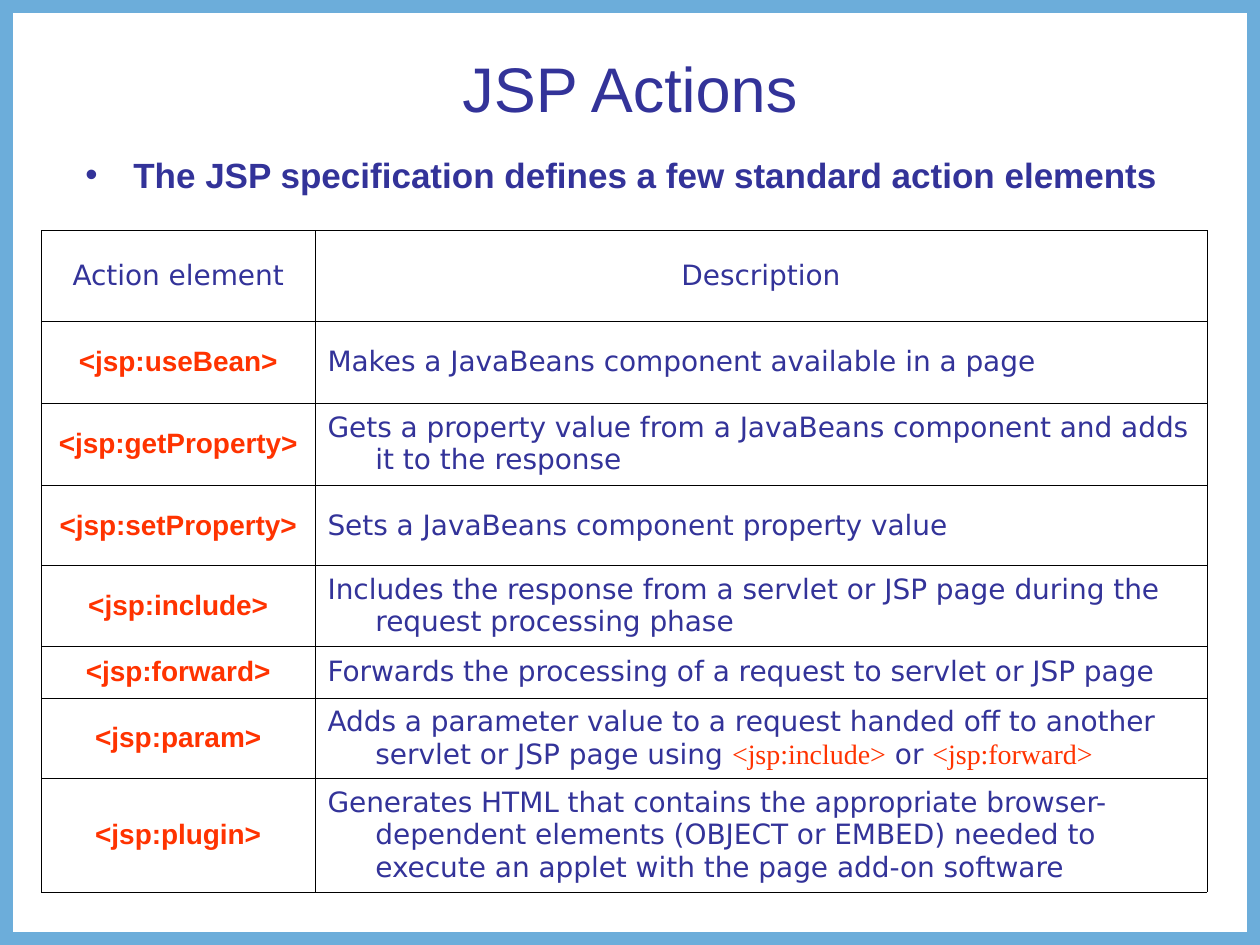
from dataclasses import dataclass

from lxml.etree import SubElement
from pptx import Presentation
from pptx.dml.color import RGBColor as Rgb
from pptx.enum.shapes import MSO_SHAPE as Preset
from pptx.enum.text import MSO_ANCHOR as Anchor, PP_ALIGN as Align
from pptx.oxml.ns import qn
from pptx.util import Inches, Pt


@dataclass(frozen=True)
class Style:
    name: str
    size: int
    color: str
    bold: bool = False


@dataclass(frozen=True)
class Theme:
    frame: str = "6CADDA"
    grid: str = "000000"
    ink: str = "333399"
    title: Style = Style("Arial", 36, "333399")
    lead: Style = Style("Arial", 20, "333399", True)
    body: Style = Style("DejaVu Sans", 16, "333399")
    tag: Style = Style("Arial", 16, "FF3300", True)
    inline_tag: Style = Style("Times New Roman", 16, "FF3300")


@dataclass(frozen=True)
class Span:
    text: str
    style: Style


@dataclass(frozen=True)
class Action:
    element: str
    description: tuple[Span, ...]
    height: float


THEME = Theme()
HANGING = 0.38
HEADER_HEIGHT = 0.72
COLUMN_WIDTHS = (2.17, 7.08)


def plain(text: str) -> tuple[Span, ...]:
    return (Span(text, THEME.body),)


ACTIONS = (
    Action("useBean", plain("Makes a JavaBeans component available in a page"), 0.65),
    Action("getProperty", plain("Gets a property value from a JavaBeans component and adds "
                                "it to the response"), 0.65),
    Action("setProperty", plain("Sets a JavaBeans component property value"), 0.64),
    Action("include", plain("Includes the response from a servlet or JSP page during the "
                            "request processing phase"), 0.64),
    Action("forward", plain("Forwards the processing of a request to servlet or JSP page"), 0.41),
    Action("param", (
        Span("Adds a parameter value to a request handed off to another "
             "servlet or JSP page using ", THEME.body),
        Span("<jsp:include>", THEME.inline_tag),
        Span(" or ", THEME.body),
        Span("<jsp:forward>", THEME.inline_tag),
    ), 0.64),
    Action("plugin", plain("Generates HTML that contains the appropriate browser-dependent "
                           "elements (OBJECT or EMBED) needed to execute an applet with the "
                           "page add-on software"), 0.9),
)


def write(paragraph, spans: tuple[Span, ...], align: Align) -> None:
    paragraph.alignment = align
    for span in spans:
        run = paragraph.add_run()
        run.text = span.text
        style = span.style
        font_format = {"name": style.name, "size": Pt(style.size), "bold": style.bold}
        for attribute, value in font_format.items():
            setattr(run.font, attribute, value)
        run.font.color.rgb = Rgb.from_string(style.color)


def hang(paragraph) -> None:
    properties = paragraph._p.get_or_add_pPr()
    properties.set("marL", str(Inches(HANGING)))
    properties.set("indent", str(-Inches(HANGING)))


def add_bullet(paragraph, color: str) -> None:
    properties = paragraph._p.get_or_add_pPr()
    bullet_color = SubElement(properties, qn("a:buClr"))
    SubElement(bullet_color, qn("a:srgbClr"), val=color)
    SubElement(properties, qn("a:buFont"), typeface="Arial")
    SubElement(properties, qn("a:buChar"), char="•")


def add_text(slide, box: tuple[float, ...], span: Span, align: Align, anchor: Anchor):
    frame = slide.shapes.add_textbox(*map(Inches, box)).text_frame
    for attribute, value in {"word_wrap": True, "vertical_anchor": anchor}.items():
        setattr(frame, attribute, value)
    paragraph = frame.paragraphs[0]
    write(paragraph, (span,), align)
    return paragraph


def draw_borders(cell) -> None:
    properties = cell._tc.get_or_add_tcPr()
    for side in ("lnL", "lnR", "lnT", "lnB"):
        line = SubElement(properties, qn(f"a:{side}"), w=str(Pt(0.34)))
        fill = SubElement(line, qn("a:solidFill"))
        SubElement(fill, qn("a:srgbClr"), val=THEME.grid)


def fill_cell(cell, spans: tuple[Span, ...], align: Align) -> None:
    cell.vertical_anchor = Anchor.MIDDLE
    draw_borders(cell)
    cell.fill.background()
    paragraph = cell.text_frame.paragraphs[0]
    write(paragraph, spans, align)
    hang(paragraph)


def add_frame(slide, width: int, height: int) -> None:
    frame = slide.shapes.add_shape(Preset.RECTANGLE, 0, 0, width, height)
    frame.shadow.inherit = False
    frame.fill.background()
    frame.line.color.rgb = Rgb.from_string(THEME.frame)
    frame.line.width = Pt(15)


def add_action_table(slide, actions: tuple[Action, ...]) -> None:
    heights = (HEADER_HEIGHT, *(action.height for action in actions))
    box = (0.33, 1.83, sum(COLUMN_WIDTHS), sum(heights))
    table = slide.shapes.add_table(
        len(heights), len(COLUMN_WIDTHS), *map(Inches, box)).table
    for attribute, value in {"first_row": False, "horz_banding": False}.items():
        setattr(table, attribute, value)
    for column, width in zip(table.columns, COLUMN_WIDTHS):
        column.width = Inches(width)
    for row, height in zip(table.rows, heights):
        row.height = Inches(height)
    for index, heading in enumerate(("Action element", "Description")):
        fill_cell(table.cell(0, index), plain(heading), Align.CENTER)
    for index, action in enumerate(actions, start=1):
        tag = Span(f"<jsp:{action.element}>", THEME.tag)
        fill_cell(table.cell(index, 0), (tag,), Align.CENTER)
        fill_cell(table.cell(index, 1), action.description, Align.LEFT)


def main() -> None:
    deck = Presentation()
    deck.slide_width, deck.slide_height = Inches(10), Inches(7.5)
    slide = deck.slides.add_slide(deck.slide_layouts[6])
    add_frame(slide, deck.slide_width, deck.slide_height)
    add_text(slide, (0.5, 0.3, 9, 0.78), Span("JSP Actions", THEME.title),
             Align.CENTER, Anchor.MIDDLE)
    lead = add_text(
        slide, (0.58, 1.17, 9, 0.58),
        Span("The JSP specification defines a few standard action elements", THEME.lead),
        Align.LEFT, Anchor.TOP)
    lead.space_before = Pt(5)
    hang(lead)
    add_bullet(lead, THEME.ink)
    add_action_table(slide, ACTIONS)
    deck.save("out.pptx")


if __name__ == "__main__":
    main()
